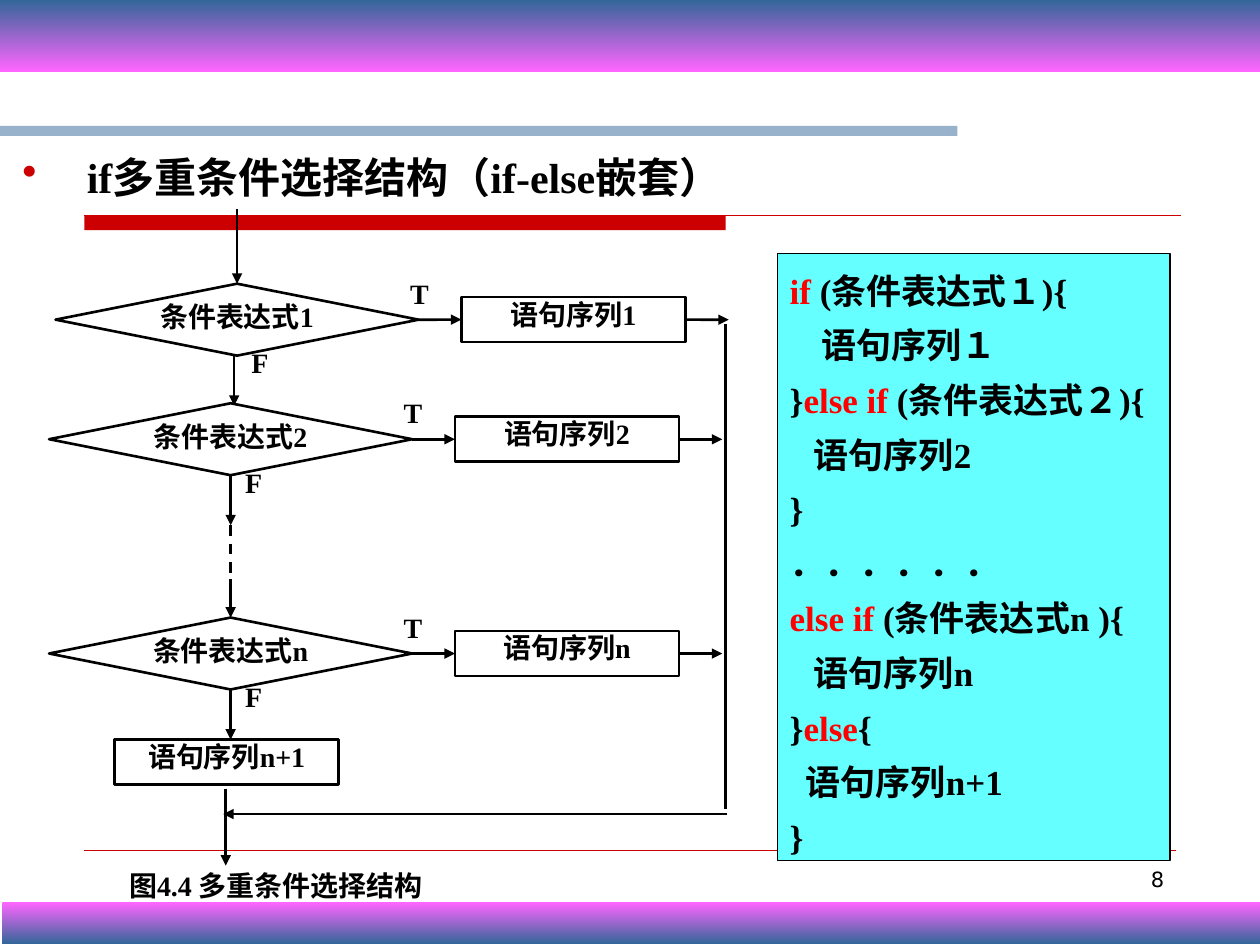
from dataclasses import dataclass

from lxml.etree import SubElement
from pptx import Presentation
from pptx.dml.color import RGBColor
from pptx.enum.dml import MSO_LINE
from pptx.enum.shapes import MSO_CONNECTOR, MSO_SHAPE as SHAPE
from pptx.enum.text import MSO_ANCHOR as ANCHOR, PP_ALIGN as ALIGN
from pptx.oxml.ns import qn
from pptx.util import Cm, Pt

BLACK, WHITE, RED, CRIMSON = "000000", "FFFFFF", "FF0000", "CC0000"
BLUE, PINK, CYAN = "336699", "FF66FF", "66FFFF"
SERIF = "Times New Roman"
DEC_W, DEC_H = 7.32, 1.45
BOX_W, BOX_H = 4.52, 0.91


@dataclass
class Rung:
    label: str
    left: float
    top: float
    drop_dx: float = 0


RUNGS = [Rung("1", 1.12, 5.72, -0.06), Rung("2", 0.99, 8.13), Rung("n", 0.99, 12.45)]

CODE = [
    [("if", RED), (" (条件表达式１){", BLACK)],
    [("    语句序列１", BLACK)],
    [("}", BLACK), ("else if", RED), (" (条件表达式２){", BLACK)],
    [("   语句序列2", BLACK)],
    [("}", BLACK)],
    [("．．．．．．", BLACK)],
    [("else if", RED), (" (条件表达式n ){", BLACK)],
    [("   语句序列n", BLACK)],
    [("}", BLACK), ("else", RED), ("{", BLACK)],
    [("  语句序列n+1", BLACK)],
    [("}", BLACK)],
]

prs = Presentation()
prs.slide_width, prs.slide_height = Cm(25.4), Cm(19.05)
s = prs.slides.add_slide(prs.slide_layouts[6])


def paint(color, value: str) -> None:
    color.rgb = RGBColor.from_string(value)


def style(r, size: float, color: str = BLACK, name: str = SERIF, bold: bool = True) -> None:
    r.font.size, r.font.name, r.font.bold = Pt(size), name, bold
    paint(r.font.color, color)


def shape(kind, x: float, y: float, w: float, h: float, fill: str = WHITE,
          line: str = "", width: float = 1.5):
    sp = s.shapes.add_shape(kind, Cm(x), Cm(y), Cm(w), Cm(h))
    sp.shadow.inherit = False
    sp.fill.solid()
    paint(sp.fill.fore_color, fill)
    if line:
        paint(sp.line.color, line)
        sp.line.width = Pt(width)
    else:
        sp.line.fill.background()
    return sp


def label(sp, text: str, align=ALIGN.CENTER, spacing: float | None = None):
    tf = sp.text_frame
    tf.word_wrap = True
    tf.vertical_anchor = ANCHOR.TOP
    tf.margin_left = tf.margin_right = tf.margin_top = tf.margin_bottom = 0
    tf.text = text
    p = tf.paragraphs[0]
    p.alignment, p.line_spacing = align, spacing
    style(p.runs[0], 16)
    return sp


def textbox(x: float, y: float, w: float, h: float):
    sp = s.shapes.add_textbox(Cm(x), Cm(y), Cm(w), Cm(h))
    sp.text_frame.word_wrap = True
    return sp


def line(x1: float, y1: float, x2: float, y2: float, arrow: bool = True, color: str = BLACK,
         width: float = 1.5, begin=None, end=None):
    cx = s.shapes.add_connector(MSO_CONNECTOR.STRAIGHT, Cm(x1), Cm(y1), Cm(x2), Cm(y2))
    paint(cx.line.color, color)
    cx.line.width = Pt(width)
    if arrow:
        SubElement(cx.line._get_or_add_ln(), qn("a:tailEnd"), type="triangle")
    SubElement(cx._element.spPr, qn("a:effectLst"))
    if begin:
        cx.begin_connect(*begin)
    if end:
        cx.end_connect(*end)
    return cx


def draw_rung(rung: Rung):
    x, y = rung.left, rung.top
    mid_x, mid_y = x + DEC_W / 2, y + DEC_H / 2
    label(shape(SHAPE.RECTANGLE, x + 7.15, y - 0.15, 0.69, 1.04), "T", ALIGN.JUSTIFY)
    label(shape(SHAPE.RECTANGLE, x + 3.95, y + 1.25, 0.69, 1.04), "F", ALIGN.JUSTIFY)
    decision = label(shape(SHAPE.FLOWCHART_DECISION, x, y, DEC_W, DEC_H, line=BLACK),
                     f"条件表达式{rung.label}", spacing=0.96)
    box_x = x + 8.18
    box = label(shape(SHAPE.RECTANGLE, box_x, mid_y - BOX_H / 2, BOX_W, BOX_H, line=BLACK),
                f"语句序列{rung.label}")
    line(x + DEC_W, mid_y, box_x, mid_y, begin=(decision, 3), end=(box, 1))
    line(box_x + BOX_W, mid_y, x + 13.57, mid_y, begin=(box, 3))
    drop_x = mid_x + rung.drop_dx
    line(drop_x, y + DEC_H, drop_x, y + 2.46, begin=None if rung.drop_dx else (decision, 2))
    return decision


def gradient_band(x: float, y: float, h: float, first: str, last: str) -> None:
    sp = shape(SHAPE.RECTANGLE, x, y, 25.4, h)
    sp.fill.gradient()
    sp.fill.gradient_angle = 270
    for stop, position, color in zip(sp.fill.gradient_stops, (0, 1), (first, last)):
        stop.position = position
        paint(stop.color, color)


def draw_title() -> None:
    sp = textbox(0.2, 2.82, 18.95, 1.6)
    p = sp.text_frame.paragraphs[0]
    p.text = "if多重条件选择结构（if-else嵌套）"
    p.line_spacing = 1.1
    pPr = p._p.get_or_add_pPr()
    pPr.set("marL", str(Cm(1.3)))
    pPr.set("indent", str(-Cm(1.3)))
    SubElement(SubElement(pPr, qn("a:buClr")), qn("a:srgbClr"), val=CRIMSON)
    SubElement(pPr, qn("a:buChar"), char="•")
    style(p.runs[0], 24)


def draw_code() -> None:
    sp = shape(SHAPE.RECTANGLE, 15.67, 5.11, 7.92, 12.24, CYAN, BLACK, 0.75)
    tf = sp.text_frame
    tf.word_wrap = False
    tf.vertical_anchor = ANCHOR.MIDDLE
    for i, parts in enumerate(CODE):
        p = tf.add_paragraph() if i else tf.paragraphs[0]
        p.alignment, p.line_spacing = ALIGN.LEFT, 1.3
        for text, color in parts:
            r = p.add_run()
            r.text = text
            style(r, 20, color)


def draw_flowchart() -> None:
    line(14.63, 6.53, 14.63, 16.31, arrow=False)
    line(4.55, 15.9, 4.55, 17.45)
    label(textbox(-0.28, 17.5, 11.68, 1.04), "图4.4 多重条件选择结构")
    first, _, last = [draw_rung(rung) for rung in RUNGS]
    line(4.78, 4.22, 4.78, 5.72, end=(first, 0))
    line(4.65, 11.68, 4.65, 12.45, end=(last, 0))
    gap = line(4.65, 10.59, 4.65, 11.73, arrow=False)
    gap.line.dash_style = MSO_LINE.DASH
    label(shape(SHAPE.RECTANGLE, 2.31, 14.91, BOX_W, BOX_H, line=BLACK), "语句序列n+1")
    line(14.66, 16.41, 4.5, 16.41)


def draw_page_number() -> None:
    p = textbox(18.21, 17.35, 5.51, 1.32).text_frame.paragraphs[0]
    p.text = "8"
    p.alignment = ALIGN.RIGHT
    style(p.runs[0], 12, name="DejaVu Sans", bold=False)


def main() -> None:
    shape(SHAPE.RECTANGLE, 1.7, 4.34, 12.93, 0.3, CRIMSON)
    line(1.7, 4.34, 23.8, 4.34, arrow=False, color=CRIMSON, width=0.75)
    line(1.7, 17.15, 23.7, 17.15, arrow=False, color=CRIMSON, width=0.25)
    bar = shape(SHAPE.RECTANGLE, 0, 2.54, 19.3, 0.2, BLUE)
    srgb = bar._element.spPr.find(qn("a:solidFill")).find(qn("a:srgbClr"))
    SubElement(srgb, qn("a:alpha"), val="50000")
    draw_title()
    draw_page_number()
    draw_code()
    draw_flowchart()
    gradient_band(0.05, 18.19, 0.84, PINK, BLUE)
    gradient_band(0, 0, 1.45, BLUE, PINK)
    prs.save("out.pptx")


if __name__ == "__main__":
    main()
